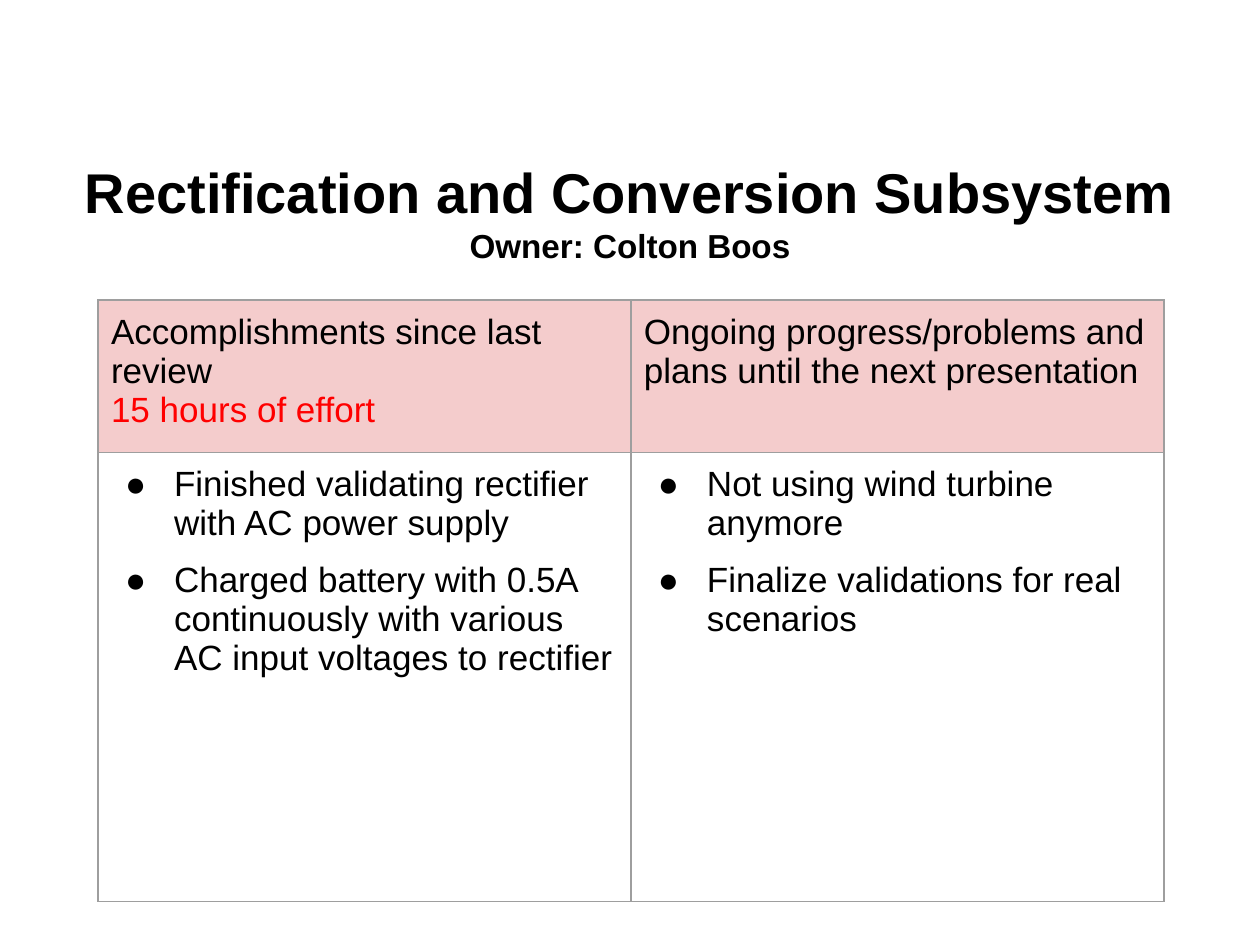
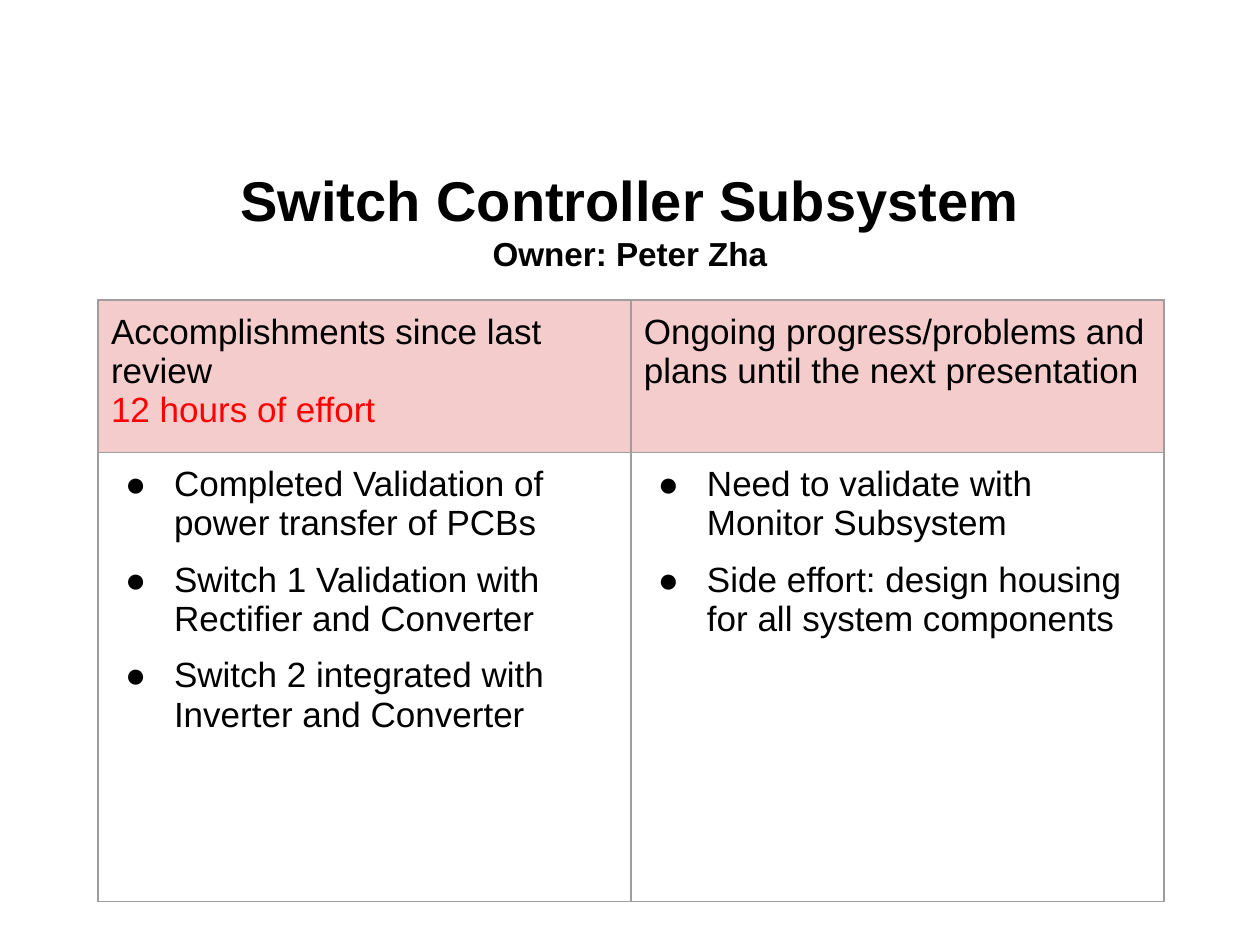
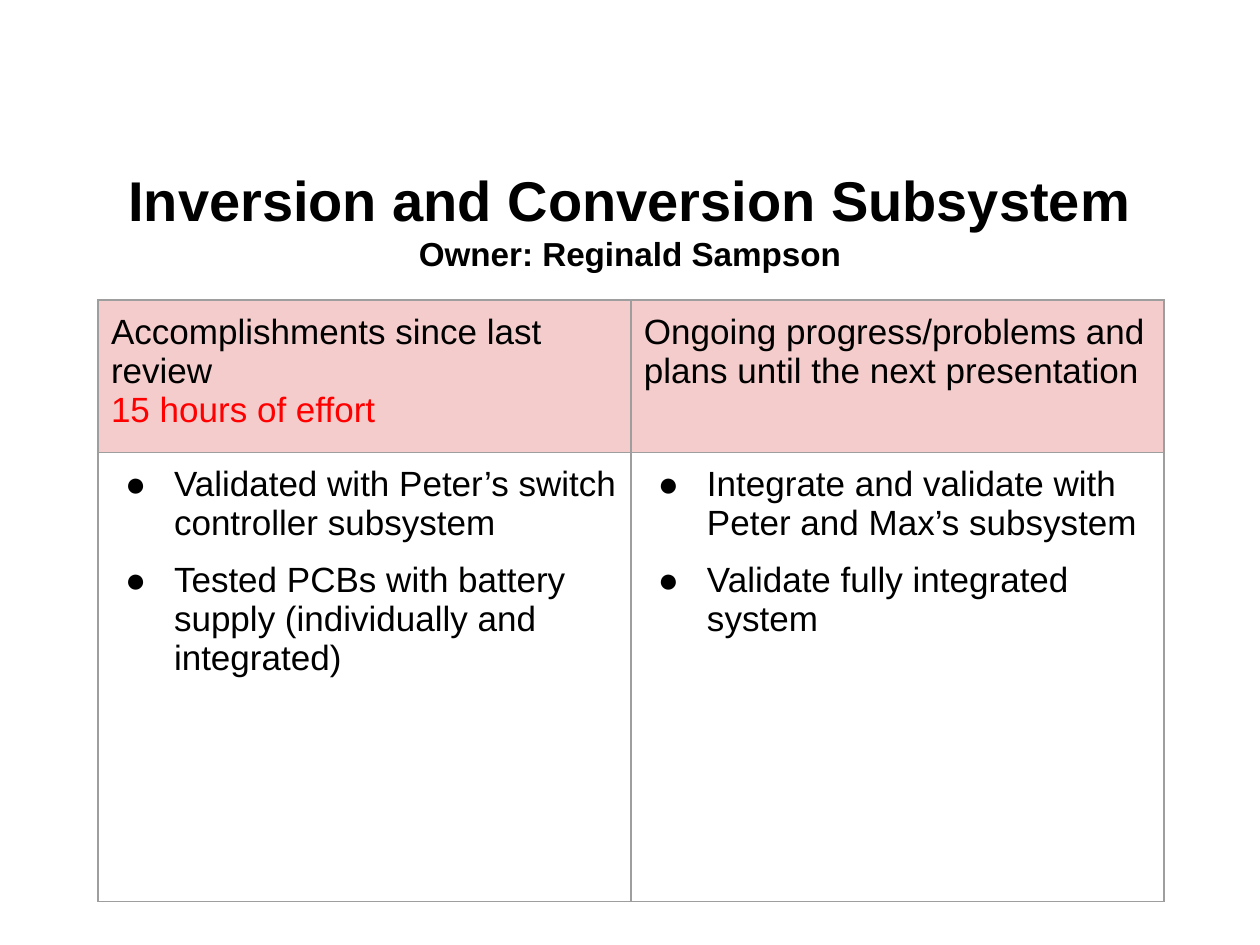
from dataclasses import dataclass

from lxml import etree
from pptx import Presentation
from pptx.dml.color import RGBColor
from pptx.enum.text import MSO_ANCHOR, PP_ALIGN
from pptx.oxml.ns import qn
from pptx.util import Pt

PX = 914400 // 126  # EMU per pixel
CENTER = PP_ALIGN.CENTER
MIDDLE = MSO_ANCHOR.MIDDLE
BLANK_LAYOUT = 6


@dataclass(frozen=True)
class Theme:
    font: str = "Arial"
    ink: str = "000000"
    effort: str = "FF0000"
    header_fill: str = "F4CCCC"
    border: str = "9E9E9E"
    border_width: float = 0.75
    title_size: int = 32
    owner_size: int = 19
    table_size: int = 20
    bullet_gap: int = 10


class ReviewDeck:
    """Holds the theme and the current slide."""

    def __init__(self, theme):
        self.theme = theme
        self.deck = Presentation()
        self.deck.slide_width = 1260 * PX
        self.deck.slide_height = 945 * PX
        self.page = None

    def new_page(self):
        layout = self.deck.slide_layouts[BLANK_LAYOUT]
        self.page = self.deck.slides.add_slide(layout)

    def add_span(self, para, text, size, color, bold=False):
        span = para.add_run()
        span.text = text
        span.font.name = self.theme.font
        span.font.size = Pt(size)
        span.font.bold = bold
        span.font.color.rgb = RGBColor.from_string(color)

    def add_paragraph(self, frame, index):
        return frame.add_paragraph() if index else frame.paragraphs[0]

    def add_title(self, title, owner, top):
        box = self.page.shapes.add_textbox(63 * PX, top * PX, 1134 * PX, 149 * PX)
        frame = box.text_frame
        frame.word_wrap = True
        frame.vertical_anchor = MIDDLE
        lines = [(title, self.theme.title_size), (f"Owner: {owner}", self.theme.owner_size)]
        for index, (text, size) in enumerate(lines):
            para = self.add_paragraph(frame, index)
            para.alignment = CENTER
            self.add_span(para, text, size, self.theme.ink, bold=True)

    def add_table(self, headers, bullet_columns):
        columns, rows = [533, 533], [118, 449]
        table = self.page.shapes.add_table(
            len(rows), len(columns), 98 * PX, 300 * PX, sum(columns) * PX, sum(rows) * PX
        ).table
        table.first_row = table.horz_banding = False
        for column, width in zip(table.columns, columns):
            column.width = width * PX
        for row, height in zip(table.rows, rows):
            row.height = height * PX
        for index, (header, bullets) in enumerate(zip(headers, bullet_columns)):
            self.fill_header(table.cell(0, index), header)
            self.fill_bullets(table.cell(1, index), bullets)

    def style_cell(self, cell):
        cell.margin_left = cell.margin_right = 13 * PX
        cell.margin_top = cell.margin_bottom = 13 * PX
        properties = cell._tc.get_or_add_tcPr()
        for side in ("lnL", "lnR", "lnT", "lnB"):
            line = etree.SubElement(
                properties, qn(f"a:{side}"), w=str(Pt(self.theme.border_width))
            )
            self.add_color(etree.SubElement(line, qn("a:solidFill")), self.theme.border)

    def add_color(self, parent, color):
        etree.SubElement(parent, qn("a:srgbClr"), val=color)

    def fill_header(self, cell, lines):
        self.style_cell(cell)
        cell.fill.solid()
        cell.fill.fore_color.rgb = RGBColor.from_string(self.theme.header_fill)
        for index, (text, color) in enumerate(lines):
            para = self.add_paragraph(cell.text_frame, index)
            self.add_span(para, text, self.theme.table_size, color)

    def fill_bullets(self, cell, bullets):
        self.style_cell(cell)
        cell.fill.background()
        for index, text in enumerate(bullets):
            para = self.add_paragraph(cell.text_frame, index)
            self.add_bullet(para)
            if index:
                para.space_before = Pt(self.theme.bullet_gap)
            self.add_span(para, text, self.theme.table_size, self.theme.ink)

    def add_bullet(self, para):
        properties = para._p.get_or_add_pPr()
        properties.set("marL", str(63 * PX))
        properties.set("indent", str(-49 * PX))
        self.add_color(etree.SubElement(properties, qn("a:buClr")), self.theme.ink)
        etree.SubElement(properties, qn("a:buFont"), typeface=self.theme.font)
        etree.SubElement(properties, qn("a:buChar"), char="●")

    def add_review(self, title, owner, hours, done, planned, title_top=145):
        ink = self.theme.ink
        headers = [
            [("Accomplishments since last review", ink),
             (f"{hours} hours of effort", self.theme.effort)],
            [("Ongoing progress/problems and plans until the next presentation", ink)],
        ]
        self.new_page()
        self.add_title(title, owner, title_top)
        self.add_table(headers, [done, planned])


def main():
    review = ReviewDeck(Theme())

    # Rectification
    review.add_review(
        "Rectification and Conversion Subsystem", "Colton Boos", 15,
        done=[
            "Finished validating rectifier with AC power supply",
            "Charged battery with 0.5A continuously with various AC input voltages to rectifier",
        ],
        planned=[
            "Not using wind turbine anymore",
            "Finalize validations for real scenarios",
        ],
        title_top=137,
    )

    # Switch controller
    review.add_review(
        "Switch Controller Subsystem", "Peter Zha", 12,
        done=[
            "Completed Validation of power transfer of PCBs",
            "Switch 1 Validation with Rectifier and Converter",
            "Switch 2 integrated with Inverter and Converter",
        ],
        planned=[
            "Need to validate with Monitor Subsystem",
            "Side effort: design housing for all system components",
        ],
    )

    # Inversion
    review.add_review(
        "Inversion and Conversion Subsystem", "Reginald Sampson", 15,
        done=[
            "Validated with Peter’s switch controller subsystem",
            "Tested PCBs with battery supply (individually and integrated)",
        ],
        planned=[
            "Integrate and validate with Peter and Max’s subsystem",
            "Validate fully integrated system",
        ],
    )

    review.deck.save("out.pptx")


if __name__ == "__main__":
    main()
